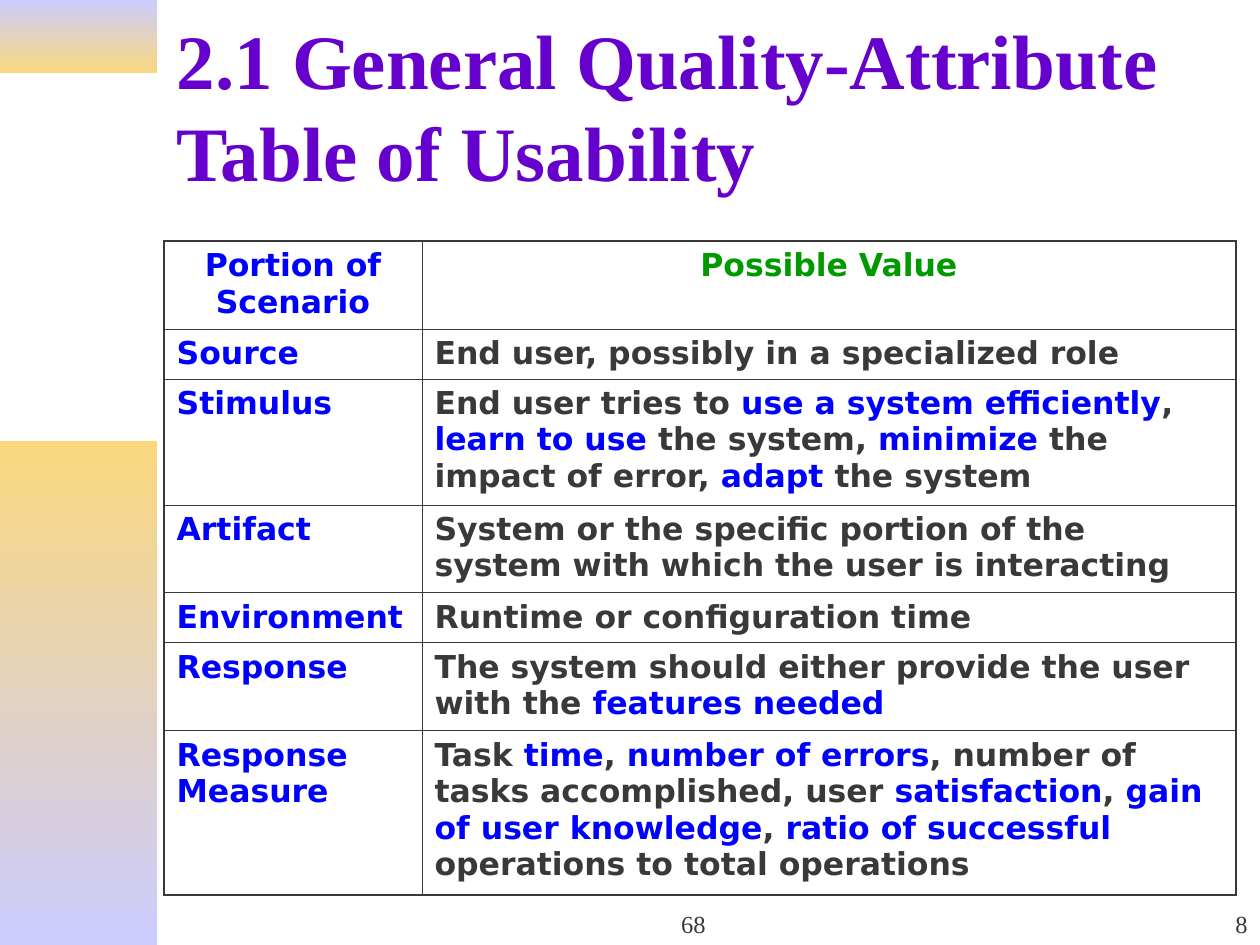
import pptx
import pptx.dml.color
import pptx.enum.shapes
import pptx.enum.text
import pptx.oxml
import pptx.oxml.ns
import pptx.util
from dataclasses import dataclass

ALIGN = pptx.enum.text.PP_ALIGN
ANCHOR = pptx.enum.text.MSO_ANCHOR


@dataclass(frozen=True)
class Theme:
    title: str = "6600CC"
    ink: str = "393939"
    key: str = "0000FF"
    value: str = "009900"
    paper: str = "FFFFFF"
    lilac: str = "CCCCFF"
    gold: str = "F9D87E"
    serif: str = "Times New Roman"
    sans: str = "DejaVu Sans"
    title_size: int = 44
    table_size: int = 18
    footer_size: int = 14
    inner_line: float = 0.45
    outer_line: float = 1.08


THEME = Theme()
COLUMNS = [258, 814]
ROW_HEIGHTS = [88, 50, 126, 88, 50, 88, 164]
HEADINGS = ["Portion of Scenario", "Possible Value"]
# Text between asterisks is highlighted
SCENARIO = [
    ("Source", "End user, possibly in a specialized role"),
    ("Stimulus", "End user tries to *use a system efficiently*, *learn to use *the system, "
                 "*minimize* the impact of error, *adapt* the system"),
    ("Artifact", "System or the specific portion of the system with which the user is interacting"),
    ("Environment", "Runtime or configuration time"),
    ("Response", "The system should either provide the user with the *features needed*"),
    ("Response Measure", "Task *time*, *number of errors*, number of tasks accomplished, user "
                         "*satisfaction*, *gain of user knowledge*, *ratio of successful *"
                         "operations to total operations"),
]


def px(length):
    return pptx.util.Emu(round(length * 914400 / 126))


def rgb(colour):
    return pptx.dml.color.RGBColor.from_string(colour)


def style_run(run, face, size, colour, bold=False):
    run.font.name = face
    run.font.size = pptx.util.Pt(size)
    run.font.color.rgb = rgb(colour)
    run.font.bold = bold


def add_band(slide, top, height, start, end):
    band = slide.shapes.add_shape(pptx.enum.shapes.MSO_SHAPE.RECTANGLE,
                                  px(0), px(top), px(157), px(height))
    band.shadow.inherit = False
    band.line.fill.background()
    band.fill.gradient()
    band.fill.gradient_angle = 270  # top to bottom
    for stop, colour, position in zip(band.fill.gradient_stops, (start, end), (0, 1)):
        stop.color.rgb = rgb(colour)
        stop.position = position


def set_title(slide, text):
    title = slide.shapes.title
    title.left, title.top, title.width, title.height = px(164), px(14), px(1033), px(181)
    frame = title.text_frame
    frame.text = text
    frame.word_wrap = True
    frame.auto_size = pptx.enum.text.MSO_AUTO_SIZE.NONE
    frame.vertical_anchor = ANCHOR.MIDDLE
    frame.paragraphs[0].alignment = ALIGN.LEFT
    style_run(frame.paragraphs[0].runs[0], THEME.serif, THEME.title_size, THEME.title, True)


def add_footer(slide, left, width, text, alignment):
    footer = slide.shapes.add_textbox(px(left), px(882), px(width), px(63))
    frame = footer.text_frame
    frame.word_wrap = True
    frame.vertical_anchor = ANCHOR.BOTTOM
    frame.text = text
    frame.paragraphs[0].alignment = alignment
    style_run(frame.paragraphs[0].runs[0], THEME.serif, THEME.footer_size, THEME.ink)


def set_borders(cell, outer_sides):
    properties = cell._tc.get_or_add_tcPr()
    for side in "LRTB":
        points = THEME.outer_line if side in outer_sides else THEME.inner_line
        properties.append(pptx.oxml.parse_xml(
            f'<a:ln{side} {pptx.oxml.ns.nsdecls("a")} w="{pptx.util.Pt(points)}">'
            f'<a:solidFill><a:srgbClr val="{THEME.ink}"/></a:solidFill></a:ln{side}>'))


def fill_cell(cell, text, colour, alignment, outer_sides):
    set_borders(cell, outer_sides)
    cell.fill.solid()
    cell.fill.fore_color.rgb = rgb(THEME.paper)
    paragraph = cell.text_frame.paragraphs[0]
    paragraph.alignment = alignment
    paragraph.space_before = pptx.util.Pt(4.5)
    for index, part in enumerate(text.split("*")):
        if part:
            run = paragraph.add_run()
            run.text = part
            style_run(run, THEME.sans, THEME.table_size,
                      THEME.key if index % 2 else colour, True)


def add_scenario_table(slide):
    rows = [HEADINGS, *SCENARIO]
    table = slide.shapes.add_table(len(rows), len(COLUMNS), px(164), px(241),
                                   px(sum(COLUMNS)), px(sum(ROW_HEIGHTS))).table
    for column, width in zip(table.columns, COLUMNS):
        column.width = px(width)
    for r, (row, height) in enumerate(zip(rows, ROW_HEIGHTS)):
        table.rows[r].height = px(height)
        alignment = ALIGN.LEFT if r else ALIGN.CENTER
        colours = (THEME.key, THEME.ink if r else THEME.value)
        outer_rows = ("T" if r == 0 else "") + ("B" if r == len(rows) - 1 else "")
        for c, text in enumerate(row):
            fill_cell(table.cell(r, c), text, colours[c], alignment, outer_rows + "LR"[c])


def main():
    deck = pptx.Presentation()
    deck.slide_width, deck.slide_height = px(1260), px(945)
    slide = deck.slides.add_slide(deck.slide_layouts[5])

    # Side decoration
    add_band(slide, 0, 73, THEME.lilac, THEME.gold)
    add_band(slide, 441, 504, THEME.gold, THEME.lilac)

    # Title and table
    set_title(slide, "2.1 General Quality-Attribute Table of Usability")
    add_scenario_table(slide)

    # Page numbers
    add_footer(slide, 494, 399, "68", ALIGN.CENTER)
    add_footer(slide, 998, 262, "8", ALIGN.RIGHT)

    deck.save("out.pptx")


if __name__ == "__main__":
    main()
